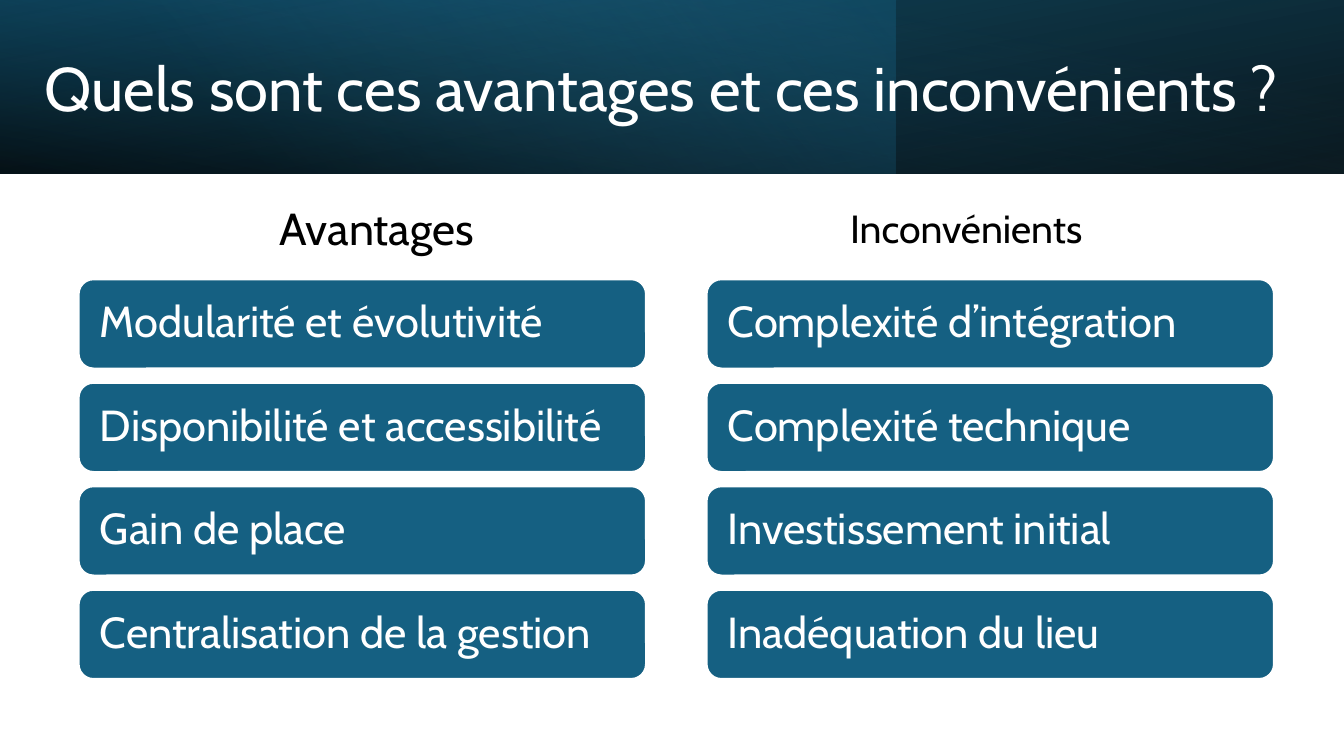
import pptx
import pptx.dml.color
import pptx.enum.shapes
import pptx.enum.text
import pptx.oxml
import pptx.oxml.ns
import pptx.util

Pt = pptx.util.Pt
SLIDE_WIDTH, SLIDE_HEIGHT = 960, 540
BAND_HEIGHT = 123.84
FONT = "Cabin"
BLUE, WHITE, BLACK = "156082", "FFFFFF", "000000"

ADVANTAGES = [
    "Modularité et évolutivité",
    "Disponibilité et accessibilité",
    "Gain de place",
    "Centralisation de la gestion",
]
DRAWBACKS = [
    "Complexité d’intégration",
    "Complexité technique",
    "Investissement initial",
    "Inadéquation du lieu",
]


def color(hex_string):
    return pptx.dml.color.RGBColor.from_string(hex_string)


def place(shape, box):
    shape.left, shape.top, shape.width, shape.height = (Pt(length) for length in box)


def write(shape, text, size, hex_string, alignment, space_before=0):
    """Put one vertically centred line of text in the shape."""
    frame = shape.text_frame
    frame.text = text
    frame.word_wrap = True
    frame.auto_size = pptx.enum.text.MSO_AUTO_SIZE.NONE
    frame.vertical_anchor = pptx.enum.text.MSO_ANCHOR.MIDDLE
    paragraph = frame.paragraphs[0]
    paragraph.alignment = alignment
    paragraph.line_spacing = 0.9
    paragraph.space_before = Pt(space_before)
    paragraph.font.name = FONT
    paragraph.font.size = Pt(size)
    paragraph.font.bold = False
    paragraph.font.color.rgb = color(hex_string)


def add_block(slide, preset, box):
    block = slide.shapes.add_shape(preset, *(Pt(length) for length in box))
    block.shadow.inherit = False
    return block


def add_gradient_band(slide, box, stops, angle, flipped=False, rotation=0):
    """Stops are (position %, colour, opacity %); the angle is clockwise degrees."""
    band = add_block(slide, pptx.enum.shapes.MSO_SHAPE.RECTANGLE, box)
    band.line.fill.background()
    band.rotation = rotation
    properties = band.element.spPr
    if flipped:
        properties.find(pptx.oxml.ns.qn("a:xfrm")).set("flipH", "1")
    stop_xml = "".join(
        f'<a:gs pos="{position * 1000}"><a:srgbClr val="{hex_string}">'
        f'<a:alpha val="{opacity * 1000}"/></a:srgbClr></a:gs>'
        for position, hex_string, opacity in stops
    )
    gradient = pptx.oxml.parse_xml(
        f'<a:gradFill {pptx.oxml.ns.nsdecls("a")} rotWithShape="1">'
        f'<a:gsLst>{stop_xml}</a:gsLst>'
        f'<a:lin ang="{angle * 60000}" scaled="0"/></a:gradFill>'
    )
    properties.find(pptx.oxml.ns.qn("a:prstGeom")).addnext(gradient)


def add_header(slide, box):
    left, top, width, height = box
    add_gradient_band(slide, box, [(0, BLACK, 96), (100, "104862", 100)], 100,
                      flipped=True, rotation=180)
    add_gradient_band(slide, (left, top, width * 2 / 3, height),
                      [(0, BLUE, 41), (74, "46B1E1", 0)], 140)
    add_gradient_band(slide, box, [(0, BLACK, 63), (78, BLUE, 15)], 260, flipped=True)

    title = slide.shapes.title
    place(title, (left, top + 19.44, width - 14.64, 91.44))
    write(title, "Quels sont ces avantages et ces inconvénients ?", 44, WHITE,
          pptx.enum.text.PP_ALIGN.CENTER)
    title.element.getparent().append(title.element)  # in front of the bands


def add_heading(placeholder, box, text, size):
    place(placeholder, box)
    write(placeholder, text, size, BLACK, pptx.enum.text.PP_ALIGN.CENTER, space_before=10)


def add_bars(slide, box, labels):
    """Stack one rounded bar per label, with equal gaps, to fill the box."""
    left, top, width, height = box
    bar_height = 63.8
    pitch = (height - bar_height) / (len(labels) - 1)
    for row, label in enumerate(labels):
        bar = add_block(slide, pptx.enum.shapes.MSO_SHAPE.ROUNDED_RECTANGLE,
                        (left, top + row * pitch, width, bar_height))
        bar.fill.solid()
        bar.fill.fore_color.rgb = color(BLUE)
        bar.line.color.rgb = color(WHITE)
        bar.line.width = Pt(1.5)
        write(bar, label, 31, WHITE, pptx.enum.text.PP_ALIGN.LEFT)
        frame = bar.text_frame
        frame.margin_left = frame.margin_right = Pt(12.2)
        frame.margin_top = frame.margin_bottom = Pt(12.2)


def build_comparison_slide(presentation):
    slide = presentation.slides.add_slide(presentation.slide_layouts.get_by_name("Comparison"))
    placeholders = {shape.placeholder_format.idx: shape for shape in slide.placeholders}
    for index, placeholder in placeholders.items():
        if index not in (0, 1, 3):
            placeholder.element.getparent().remove(placeholder.element)

    add_header(slide, (0, 0, SLIDE_WIDTH, BAND_HEIGHT))
    add_heading(placeholders[1], (66.24, 132.48, 406.08, 64.8), "Avantages", 32)
    add_heading(placeholders[3], (486, 132.48, 408.24, 64.8), "Inconvénients", 28)
    for left, labels in ((56.16, ADVANTAGES), (504.72, DRAWBACKS)):
        add_bars(slide, (left, 199.44, 405.36, 285.6), labels)


def main():
    presentation = pptx.Presentation()
    presentation.slide_width = Pt(SLIDE_WIDTH)
    presentation.slide_height = Pt(SLIDE_HEIGHT)
    build_comparison_slide(presentation)
    presentation.save("out.pptx")


if __name__ == "__main__":
    main()
